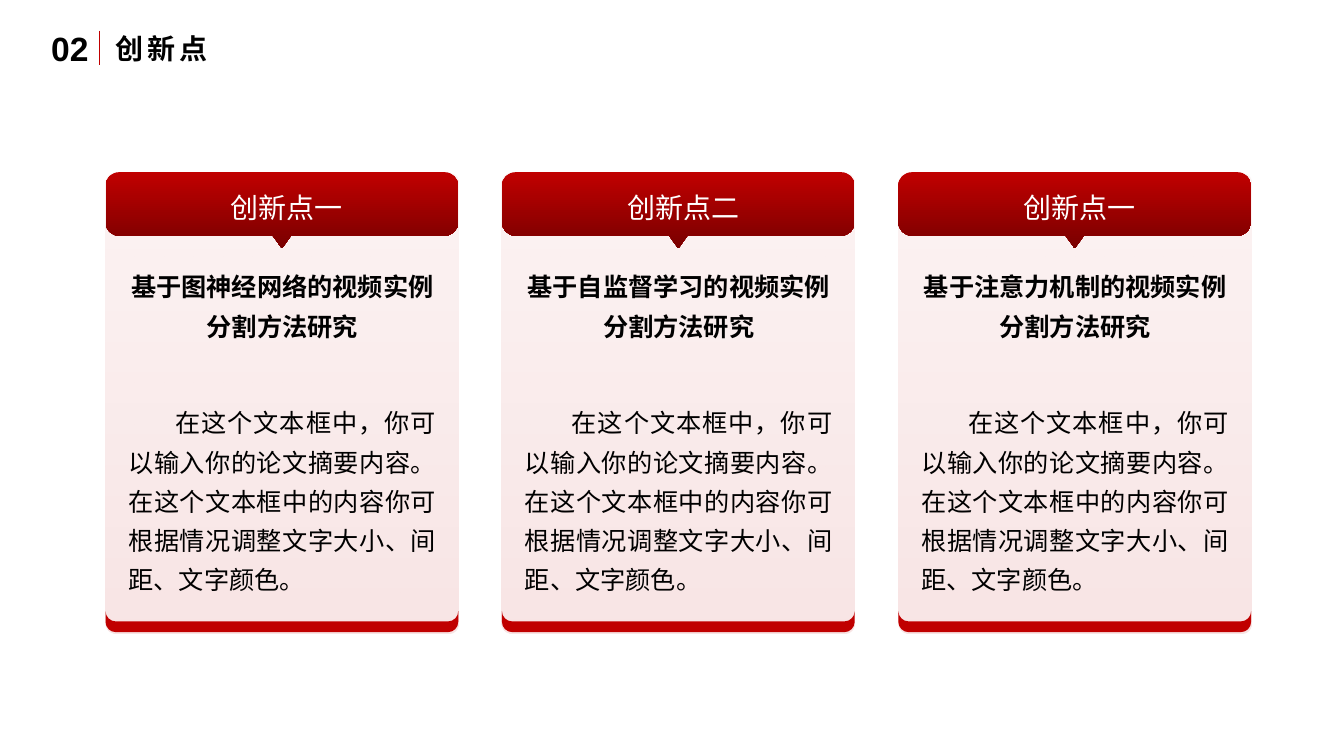
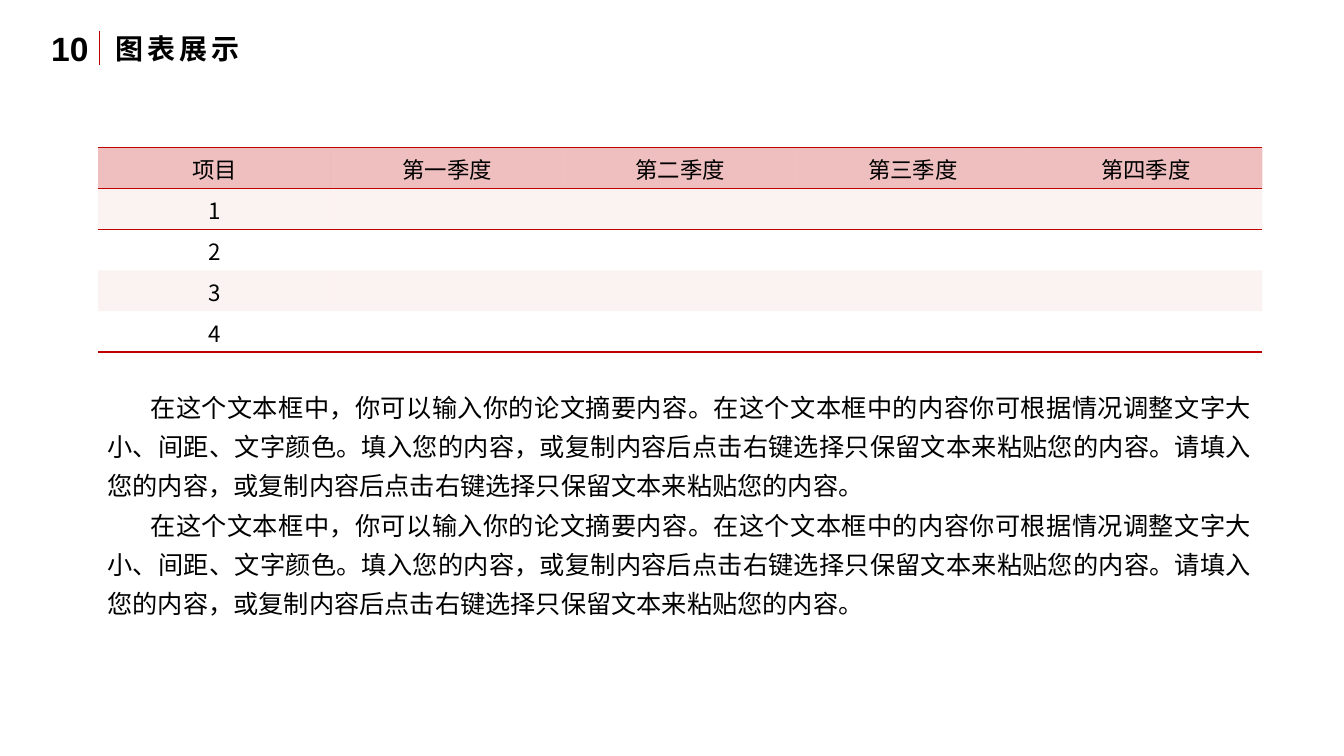
import math

from lxml import etree
from pptx import Presentation
from pptx import util as u
from pptx.dml.color import RGBColor
from pptx.enum import shapes, text
from pptx.oxml.ns import qn

Cm, Pt = u.Cm, u.Pt

RED = RGBColor(0xC0, 0x00, 0x00)
DARK_RED = RGBColor(0x79, 0x00, 0x00)
BLACK = RGBColor(0x00, 0x00, 0x00)
WHITE = RGBColor(0xFF, 0xFF, 0xFF)
CJK_FONT = "Noto Sans CJK SC"
NO_TABLE_STYLE = "{2D5ABB26-0587-4C30-8999-92F81FD0307C}"

CARD_LEFT, CARD_TOP, CARD_PITCH = 2.66, 4.34, 9.99
CARD_WIDTH, CARD_HEIGHT = 8.89, 11.63
CURVE = 0.55  # handle length of a quarter circle, per radius

ABSTRACT = ("在这个文本框中，你可以输入你的论文摘要内容。"
            "在这个文本框中的内容你可根据情况调整文字大小、间距、文字颜色。")
DETAILS = (ABSTRACT + "填入您的内容，或复制内容后点击右键选择只保留文本来粘贴您的内容。"
           "请填入您的内容，或复制内容后点击右键选择只保留文本来粘贴您的内容。")
CARDS = [
    ("创新点一", "基于图神经网络的视频实例分割方法研究"),
    ("创新点二", "基于自监督学习的视频实例分割方法研究"),
    ("创新点一", "基于注意力机制的视频实例分割方法研究"),
]
TABLE_ROWS = [["项目", "第一季度", "第二季度", "第三季度", "第四季度"],
              ["1"], ["2"], ["3"], ["4"]]


def box(left, top, width, height):
    return Cm(left), Cm(top), Cm(width), Cm(height)


def style_paragraph(p, size, color=BLACK, bold=False, name=CJK_FONT,
                    align=text.PP_ALIGN.LEFT, spacing=None, indent=0, tracking=0):
    """Format a whole paragraph; indent is the first-line indent in cm."""
    p.alignment = align
    if spacing:
        p.line_spacing = spacing
    if indent:
        p._p.get_or_add_pPr().set("indent", str(Cm(indent)))
    font = p.font
    font.size, font.bold, font.name = Pt(size), bold, name
    font.color.rgb = color
    props = p._p.pPr.find(qn("a:defRPr"))
    etree.SubElement(props, qn("a:ea")).set("typeface", name)
    if tracking:
        props.set("spc", str(tracking * 100))


def add_text(container, area, paragraphs, size, wrap=True, **style):
    tf = container.add_textbox(*box(*area)).text_frame
    tf.word_wrap = wrap
    tf.auto_size = text.MSO_AUTO_SIZE.SHAPE_TO_FIT_TEXT
    tf.text = "\n".join(paragraphs)
    for p in tf.paragraphs:
        style_paragraph(p, size, **style)


def set_alpha(color_element, percent):
    etree.SubElement(color_element, qn("a:alpha")).set("val", str(percent * 1000))


def fill_down(shape, top_color, bottom_color):
    """Fill with a vertical gradient, without outline or shadow."""
    shape.shadow.inherit = False
    shape.line.fill.background()
    shape.fill.gradient()
    shape.fill.gradient_angle = 270
    for stop, color in zip(shape.fill.gradient_stops, (top_color, bottom_color)):
        stop.color.rgb = color


def corner(cx, cy, radius, start, end):
    """A line to a quarter circle and its curve; degrees run clockwise."""
    (x0, y0), (x1, y1) = [(math.cos(math.radians(a)), math.sin(math.radians(a)))
                          for a in (start, end)]
    # A quarter circle's tangent at one end is the radius direction of the other.
    units = [(x0, y0), (x0 + CURVE * x1, y0 + CURVE * y1),
             (x1 + CURVE * x0, y1 + CURVE * y0), (x1, y1)]
    points = [(cx + radius * x, cy + radius * y) for x, y in units]
    return [points[:1], points[1:]]


def add_outline(container, segments):
    """Draw segments of one point (line) or three points (Bezier curve)."""
    points = [(Cm(x), Cm(y)) for segment in segments for x, y in segment]
    builder = container.build_freeform(*points[0])
    builder.add_line_segments(points[1:])
    shape = builder.convert_to_shape()
    lines = iter(shape._element.spPr.findall(".//" + qn("a:lnTo")))
    for segment in segments[1:]:
        first, *rest = [next(lines) for _ in segment]
        if rest:
            first.tag = qn("a:cubicBezTo")
            for line in rest:
                first.append(line[0])
                line.getparent().remove(line)
    return shape


def add_card_header(container, left, top):
    """Rounded bar with a small pointer under its middle."""
    radius, height, half, drop = 0.34, 1.6, 0.23, 0.32
    right, bottom, middle = left + CARD_WIDTH, top + height, left + CARD_WIDTH / 2
    segments = (corner(left + radius, top + radius, radius, 180, 270)
                + corner(right - radius, top + radius, radius, 270, 360)
                + corner(right - radius, bottom - radius, radius, 0, 90)
                + [[(middle + half, bottom)], [(middle, bottom + drop)],
                   [(middle - half, bottom)]]
                + corner(left + radius, bottom - radius, radius, 90, 180))
    fill_down(add_outline(container, segments), RED, DARK_RED)


def add_card_base(container, left, top):
    """Red strip that follows the rounded bottom of a card."""
    radius, depth = 0.26, 0.27
    inner_left, inner_right = left + radius, left + CARD_WIDTH - radius
    segments = (corner(inner_left, top, radius, 180, 90)
                + corner(inner_right, top, radius, 90, 0)
                + corner(inner_right, top + depth, radius, 0, 90)
                + corner(inner_left, top + depth, radius, 90, 180))
    strip = add_outline(container, segments)
    strip.shadow.inherit = False
    strip.fill.solid()
    strip.fill.fore_color.rgb = RED
    strip.line.fill.background()


def add_card(s, left, label, topic):
    card = s.shapes.add_group_shape().shapes
    panel = card.add_shape(shapes.MSO_SHAPE.ROUNDED_RECTANGLE,
                           *box(left, CARD_TOP, CARD_WIDTH, CARD_HEIGHT))
    panel.adjustments[0] = 0.03
    fill_down(panel, RED, RED)
    stops = panel._element.spPr.findall(".//" + qn("a:gs"))
    for stop, percent in zip(stops, (5, 11)):
        set_alpha(stop[0], percent)

    center = text.PP_ALIGN.CENTER
    add_text(card, (left + 0.33, 9.92, 8.25, 5.16), [ABSTRACT], 18,
             align=text.PP_ALIGN.JUSTIFY, spacing=1.3, indent=1.18)
    add_card_base(card, left, 15.4)
    add_card_header(card, left, CARD_TOP)
    add_text(card, (left + 2.82, 4.43, 3.5, 1.27), [label], 20,
             color=WHITE, align=center, spacing=1.3)
    add_text(card, (left + 0.33, 6.49, 8.25, 2.16), [topic], 18,
             bold=True, align=center, spacing=1.3)


def add_border(cell, side):
    line = etree.SubElement(cell._tc.get_or_add_tcPr(), qn("a:ln" + side))
    line.set("w", str(Pt(1)))
    fill = etree.SubElement(line, qn("a:solidFill"))
    etree.SubElement(fill, qn("a:srgbClr")).set("val", str(RED))


def fill_cell(cell, percent):
    """Tint a cell with red at the given opacity; 0 leaves it clear."""
    if not percent:
        cell.fill.background()
        return
    cell.fill.solid()
    cell.fill.fore_color.rgb = RED
    set_alpha(cell._tc.tcPr.find(qn("a:solidFill") + "/" + qn("a:srgbClr")), percent)


def add_quarter_table(s, rows):
    count, columns = len(rows), len(rows[0])
    table = s.shapes.add_table(count, columns,
                               *box(2.47, 3.72, 29.34, 1.03 * count)).table
    table._tbl.tblPr.find(qn("a:tableStyleId")).text = NO_TABLE_STYLE
    table.horz_banding = False
    table.first_row = False
    sides = {0: "TB", 1: "T", count - 1: "B"}
    for i, row in enumerate(rows):
        opacity = 25 if i == 0 else 5 * (i % 2)
        for j in range(columns):
            cell = table.cell(i, j)
            cell.vertical_anchor = text.MSO_ANCHOR.MIDDLE
            if j < len(row):
                cell.text = row[j]
            style_paragraph(cell.text_frame.paragraphs[0], 16,
                            align=text.PP_ALIGN.CENTER)
            for side in sides.get(i, ""):
                add_border(cell, side)
            fill_cell(cell, opacity)


def add_slide(prs, number, title):
    """Add a slide with section number, divider and title."""
    s = prs.slides.add_slide(prs.slide_layouts[5])
    add_text(s.shapes, (1.04, 0.57, 1.47, 1.27), [number], 24,
             wrap=False, bold=True, name="Arial")

    divider = s.shapes.add_connector(shapes.MSO_CONNECTOR.STRAIGHT,
                                     Cm(2.51), Cm(0.77), Cm(2.51), Cm(1.65))
    divider.line.color.rgb = RED
    divider.line.width = Pt(0.5)
    etree.SubElement(divider._element.spPr, qn("a:effectLst"))

    sp = s.shapes.title
    width = 0.54 + 0.81 * len(title)
    sp.left, sp.top, sp.width, sp.height = box(2.65, 0.66, width, 1.11)
    tf = sp.text_frame
    tf.text = title
    tf.word_wrap = False
    tf.auto_size = text.MSO_AUTO_SIZE.NONE
    tf.vertical_anchor = text.MSO_ANCHOR.MIDDLE
    style_paragraph(tf.paragraphs[0], 20, bold=True, tracking=3)
    return s


def main():
    prs = Presentation()
    prs.slide_width, prs.slide_height = Cm(33.87), Cm(19.05)

    s = add_slide(prs, "02", "创新点")
    for i, (label, topic) in enumerate(CARDS):
        add_card(s, CARD_LEFT + i * CARD_PITCH, label, topic)

    s = add_slide(prs, "10", "图表展示")
    add_quarter_table(s, TABLE_ROWS)
    add_text(s.shapes, (2.46, 9.53, 29.35, 6.17), [DETAILS] * 2, 18,
             align=text.PP_ALIGN.JUSTIFY, spacing=1.3, indent=1.08)

    prs.save("out.pptx")


if __name__ == "__main__":
    main()
